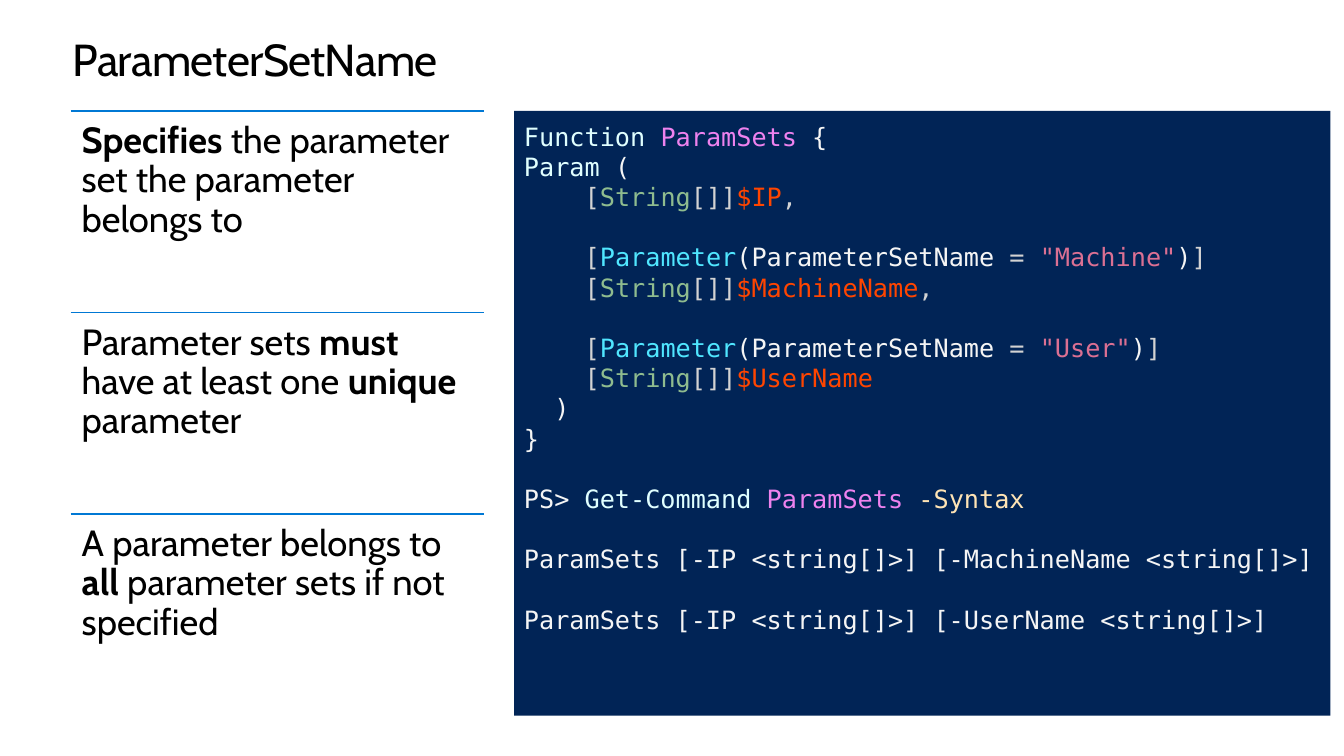
from pptx import Presentation
from pptx.dml.color import RGBColor
from pptx.enum.shapes import MSO_CONNECTOR as Connector, MSO_SHAPE as Shape
from pptx.enum.text import MSO_ANCHOR as Anchor, PP_ALIGN as Align
from pptx.oxml.ns import qn
from pptx.util import Pt
from lxml.etree import SubElement

COLORS = {
    "text": "000000",
    "rule": "0078D4",
    "panel": "012456",
    "keyword": "E0FFFF",
    "function": "EE82EE",
    "plain": "F5F5F5",
    "bracket": "D3D3D3",
    "type": "8FBC8F",
    "variable": "FF4500",
    "attribute": "50E6FF",
    "string": "DB7093",
    "switch": "FFE4B5",
}
BODY_FONT = "Cabin"
CODE_FONT = "DejaVu Sans Mono"
CODE_SIZE = 18
CODE_LINE = 21.5
CODE_CHAR = 10.84

POINTS = [
    [("Specifies", True), (" the parameter set the parameter belongs to", False)],
    [("Parameter sets ", False), ("must", True), (" have at least one ", False),
     ("unique", True), (" parameter", False)],
    [("A parameter belongs to ", False), ("all", True),
     (" parameter sets if not specified", False)],
]


def typed_variable(name, ending=""):
    spans = [("[", "bracket"), ("String", "type"), ("[]]", "bracket"), (name, "variable")]
    return spans + [(ending, "bracket")] if ending else spans


def set_attribute(value):
    return [("[", "bracket"), ("Parameter", "attribute"), ("(ParameterSetName ", "plain"),
            ("= ", "bracket"), (f'"{value}"', "string"), (")", "plain"), ("]", "bracket")]


CODE = [
    (0, 0, [("Function ", "keyword"), ("ParamSets", "function"), (" {", "plain")]),
    (0, 0, [("Param", "keyword"), (" (", "plain")]),
    (4, 0, typed_variable("$IP", ",")),
    (4, 1, set_attribute("Machine")),
    (4, 0, typed_variable("$MachineName", ",")),
    (4, 1, set_attribute("User")),
    (4, 0, typed_variable("$UserName")),
    (2, 0, [(")", "plain")]),
    (0, 0, [("}", "plain")]),
    (0, 1, [("PS> ", "plain"), ("Get-Command ", "keyword"), ("ParamSets ", "function"),
            ("-Syntax", "switch")]),
    (0, 1, [("ParamSets [-IP <string[]>] [-MachineName <string[]>]", "plain")]),
    (0, 1, [("ParamSets [-IP <string[]>] [-UserName <string[]>]", "plain")]),
]


def color(name):
    return RGBColor.from_string(COLORS[name])


def set_frame(box, inset):
    frame = box.text_frame
    frame.word_wrap = True
    frame.vertical_anchor = Anchor.TOP
    frame.margin_left = frame.margin_right = Pt(inset)
    frame.margin_top = frame.margin_bottom = Pt(inset)
    return frame


def add_span(para, text, font, size, tint, bold=False):
    span = para.add_run()
    span.text = text
    span.font.name = font
    span.font.size = Pt(size)
    span.font.bold = bold
    span.font.color.rgb = color(tint)
    return span


def add_title(page, text):
    box = page.shapes.add_textbox(Pt(52), Pt(25.2), Pt(857), Pt(36))
    para = set_frame(box, 0).paragraphs[0]
    para.line_spacing = Pt(36.2)
    span = add_span(para, text, BODY_FONT, 32, "text")
    span.font._element.set("spc", "-50")


def add_rule(page, left, top, width):
    rule = page.shapes.add_connector(
        Connector.STRAIGHT, Pt(left), Pt(top), Pt(left + width), Pt(top))
    rule.line.color.rgb = color("rule")
    rule.line.width = Pt(1)
    SubElement(rule._element.spPr, qn("a:effectLst"))


def add_point(page, left, top, width, height, spans):
    add_rule(page, left, top, width)
    box = page.shapes.add_textbox(Pt(left), Pt(top), Pt(width), Pt(height))
    para = set_frame(box, 8).paragraphs[0]
    para.line_spacing = 0.9
    for text, bold in spans:
        add_span(para, text, BODY_FONT, 26, "text", bold)


def add_code(page, left, top, width, height, lines):
    panel = page.shapes.add_shape(Shape.RECTANGLE, Pt(left), Pt(top), Pt(width), Pt(height))
    panel.shadow.inherit = False
    panel.fill.solid()
    panel.fill.fore_color.rgb = color("panel")
    panel.line.fill.background()
    frame = set_frame(panel, 7.2)
    for index, (indent, gap, spans) in enumerate(lines):
        para = frame.add_paragraph() if index else frame.paragraphs[0]
        para.alignment = Align.LEFT
        para.space_before = Pt(gap * CODE_LINE)
        para._p.get_or_add_pPr().set("marL", str(Pt(indent * CODE_CHAR)))
        for text, tint in spans:
            add_span(para, text, CODE_FONT, CODE_SIZE, tint)


def main():
    deck = Presentation()
    deck.slide_width, deck.slide_height = Pt(960), Pt(540)
    page = deck.slides.add_slide(deck.slide_layouts[6])
    add_title(page, "ParameterSetName")
    add_code(page, 367.2, 79.2, 583.2, 432, CODE)
    for index, spans in enumerate(POINTS):
        add_point(page, 50.4, 79.2 + index * 144, 295.2, 144, spans)
    deck.save("out.pptx")


if __name__ == "__main__":
    main()
